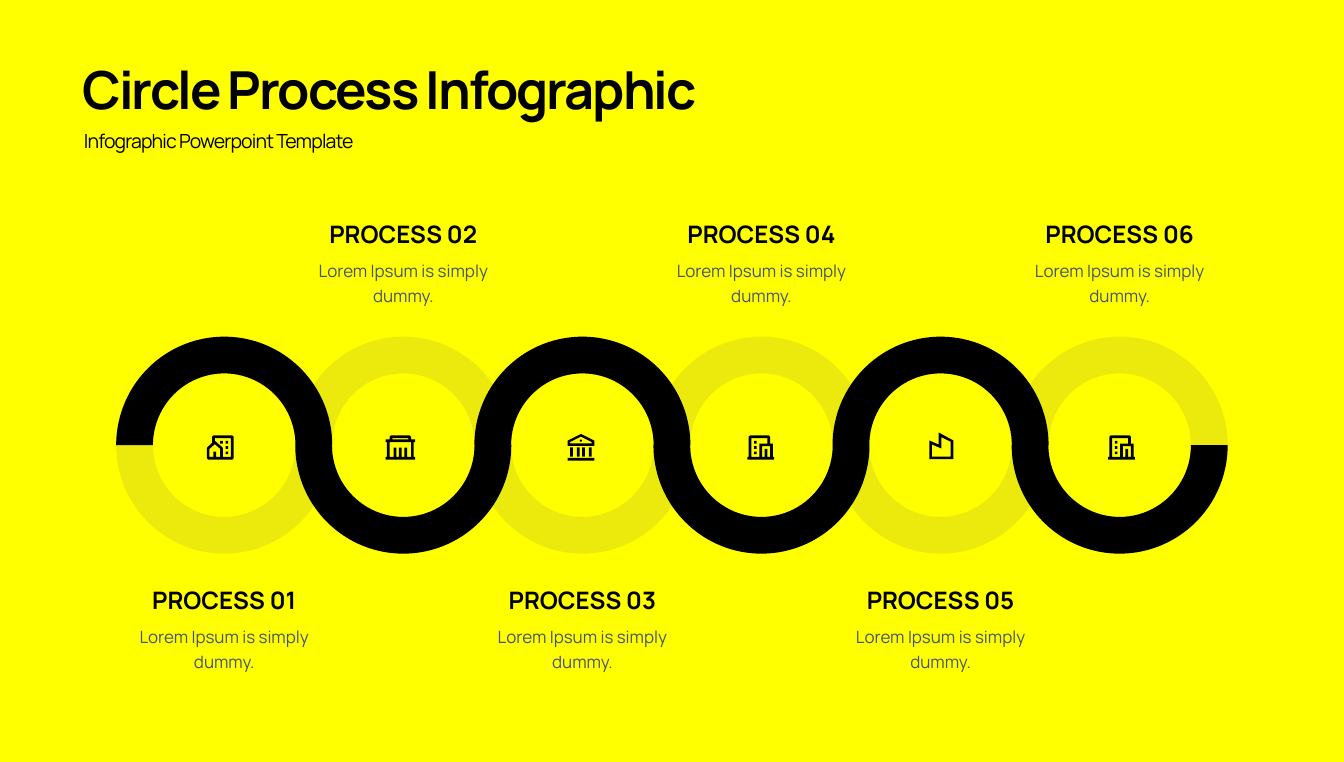
from dataclasses import dataclass

from lxml import etree
from pptx import Presentation
from pptx.dml.color import RGBColor
from pptx.enum import shapes, text
from pptx.oxml import ns
from pptx.util import Pt

Point = tuple[float, float]
Contour = list[Point]

FONT = "Manrope"
BLACK, YELLOW, OLIVE, SLATE = "000000", "FFFF00", "C2BA2C", "44546A"
RING_LEFT, RING_TOP, RING_PITCH = 164.2, 475.9, 253.1
RING_W, RING_H, RING_BAND = 305.3, 306.7, 0.17
HALF_TURN = 108
LABEL_W, HEADING_H, BODY_H = 290.2, 52.6, 82.1
ICON_UNIT = 1.89


@dataclass
class Style:
    size: float
    color: str = BLACK
    bold: bool = False
    line: float | None = None
    tracking: int = 0
    align: text.PP_ALIGN = text.PP_ALIGN.LEFT
    anchor: text.MSO_ANCHOR = text.MSO_ANCHOR.TOP
    inset: Point = (7.2, 3.6)
    grow: bool = True


@dataclass
class Step:
    heading: str
    icon: list[Contour]
    icon_left: float
    icon_top: float = 615.6


TITLE = Style(74, bold=True, line=93.2, tracking=-290)
SUBTITLE = Style(27.5, line=41.6, tracking=-120, grow=False)
HEADING = Style(34, bold=True, align=text.PP_ALIGN.CENTER,
                anchor=text.MSO_ANCHOR.BOTTOM, inset=(11.5, 5.8))
BODY = Style(24, SLATE, line=36, align=text.PP_ALIGN.CENTER, inset=(11.5, 5.8))


def rgb(value: str) -> RGBColor:
    return RGBColor.from_string(value)


def box(x: float, y: float, w: float = 2, h: float = 2) -> Contour:
    return [(x, y), (x + w, y), (x + w, y + h), (x, y + h)]


HOUSE = [
    [(19, 18), (1, 18), (0, 17), (0, 9.5), (0.5, 8.7), (4, 5.5), (4, 1),
     (5, 0), (19, 0), (20, 1), (20, 17)],
    [(7, 16), (10, 16), (10, 10), (6, 6.5), (2, 10), (2, 16), (5, 16),
     (5, 12), (7, 12)],
    [(12, 16), (18, 16), (18, 2), (6, 2), (6, 4), (11.5, 8.7), (12, 9.5)],
    box(14, 4), box(14, 8), box(14, 12), box(10, 4),
]
STORE = [
    [(19, 3), (22, 3), (22, 5), (21, 5), (21, 16), (22, 16), (22, 18), (0, 18),
     (0, 16), (1, 16), (1, 5), (0, 5), (0, 3), (3, 3), (3, 1), (4, 0), (18, 0),
     (19, 1)],
    [(19, 5), (3, 5), (3, 16), (6, 16), (6, 9), (8, 9), (8, 16), (10, 16),
     (10, 9), (12, 9), (12, 16), (14, 16), (14, 9), (16, 9), (16, 16), (19, 16)],
    box(5, 2, 12, 1),
]
BANK = [
    box(0, 18, 20, 2),
    *[box(x, 10, 2, 7) for x in (2, 7, 11, 16)],
    [(0, 5), (10, 0), (20, 5), (20, 9), (0, 9)],
    [(2, 6), (2, 7), (18, 7), (18, 6), (10, 2)],
    [(9, 5), (10, 4), (11, 5), (10, 6)],
]
OFFICE = [
    [(20, 18), (0, 18), (0, 16), (1, 16), (1, 1), (2, 0), (16, 0), (17, 1),
     (17, 6), (19, 6), (19, 16), (20, 16)],
    [(15, 16), (17, 16), (17, 8), (11, 8), (11, 16), (13, 16), (13, 10), (15, 10)],
    [(15, 6), (15, 2), (3, 2), (3, 16), (9, 16), (9, 6)],
    box(5, 4), box(5, 8), box(5, 12),
]
FACTORY = [
    [(7, 9), (7, 0), (18, 6), (18, 20), (0, 20), (0, 6)],
    [(9, 3.5), (9, 12), (2, 9), (2, 18), (16, 18), (16, 7)],
]

STEPS = [
    Step("PROCESS 01", HOUSE, 292.3),
    Step("PROCESS 02", STORE, 545),
    Step("PROCESS 03", BANK, 802.1, 613.4),
    Step("PROCESS 04", OFFICE, 1056.2),
    Step("PROCESS 05", FACTORY, 1313.3, 611.3),
    Step("PROCESS 06", OFFICE, 1566),
]


def add_text(s, words: str, x: float, y: float, w: float, h: float, style: Style) -> None:
    tf = s.shapes.add_textbox(Pt(x), Pt(y), Pt(w), Pt(h)).text_frame
    tf.word_wrap = True
    tf.auto_size = (text.MSO_AUTO_SIZE.SHAPE_TO_FIT_TEXT if style.grow
                    else text.MSO_AUTO_SIZE.NONE)
    tf.vertical_anchor = style.anchor
    tf.margin_left = tf.margin_right = Pt(style.inset[0])
    tf.margin_top = tf.margin_bottom = Pt(style.inset[1])
    tf.text = words
    p = tf.paragraphs[0]
    p.alignment = style.align
    if style.line:
        p.line_spacing = Pt(style.line)
    r = p.runs[0]
    r.font.name = FONT
    r.font.size = Pt(style.size)
    r.font.bold = style.bold
    r.font.color.rgb = rgb(style.color)
    if style.tracking:
        r._r.get_or_add_rPr().set("spc", str(style.tracking))


def paint(sp, color: str, alpha: int = 100) -> None:
    sp.shadow.inherit = False
    sp.line.fill.background()
    sp.fill.solid()
    sp.fill.fore_color.rgb = rgb(color)
    if alpha < 100:
        tint = sp._element.spPr.find(".//" + ns.qn("a:srgbClr"))
        etree.SubElement(tint, ns.qn("a:alpha")).set("val", str(alpha * 1000))


def add_icon(s, step: Step) -> None:
    contours = [[(Pt(step.icon_left + x * ICON_UNIT), Pt(step.icon_top + y * ICON_UNIT))
                 for x, y in contour] for contour in step.icon]
    builder = s.shapes.build_freeform(*contours[0][0])
    for i, points in enumerate(contours):
        if i:
            builder.move_to(*points[0])
        builder.add_line_segments(points[1:], close=True)
    paint(builder.convert_to_shape(), BLACK)


def add_ring(s, preset: shapes.MSO_SHAPE, x: float, adjustments: list[float],
             color: str, alpha: int = 100) -> None:
    sp = s.shapes.add_shape(preset, Pt(x), Pt(RING_TOP), Pt(RING_W), Pt(RING_H))
    for i, value in enumerate(adjustments):
        sp.adjustments[i] = value
    paint(sp, color, alpha)


def main() -> None:
    prs = Presentation()
    prs.slide_width, prs.slide_height = Pt(1899.36), Pt(1077.12)
    s = prs.slides.add_slide(prs.slide_layouts[6])
    s.background.fill.solid()
    s.background.fill.fore_color.rgb = rgb(YELLOW)

    add_text(s, "Circle Process Infographic", 109.4, 73.4, 1457.3, 101.5, TITLE)
    add_text(s, "Infographic Powerpoint Template", 111.6, 170.6, 1385.3, 46.8, SUBTITLE)

    ring_lefts = [RING_LEFT + i * RING_PITCH for i in range(len(STEPS))]
    for x in ring_lefts:
        add_ring(s, shapes.MSO_SHAPE.DONUT, x, [RING_BAND], OLIVE, 30)
    for i, (x, step) in enumerate(zip(ring_lefts, STEPS)):
        upper = i % 2 == 0
        angles = [HALF_TURN, 0] if upper else [0, HALF_TURN]
        add_ring(s, shapes.MSO_SHAPE.BLOCK_ARC, x, [*angles, RING_BAND], BLACK)
        add_icon(s, step)
        label_x = x + (RING_W - LABEL_W) / 2
        heading_y, body_y = (822.2, 871.9) if upper else (303.8, 355)
        add_text(s, step.heading, label_x, heading_y, LABEL_W, HEADING_H, HEADING)
        add_text(s, "Lorem Ipsum is simply dummy.", label_x, body_y,
                 LABEL_W, BODY_H, BODY)

    prs.save("out.pptx")


if __name__ == "__main__":
    main()
